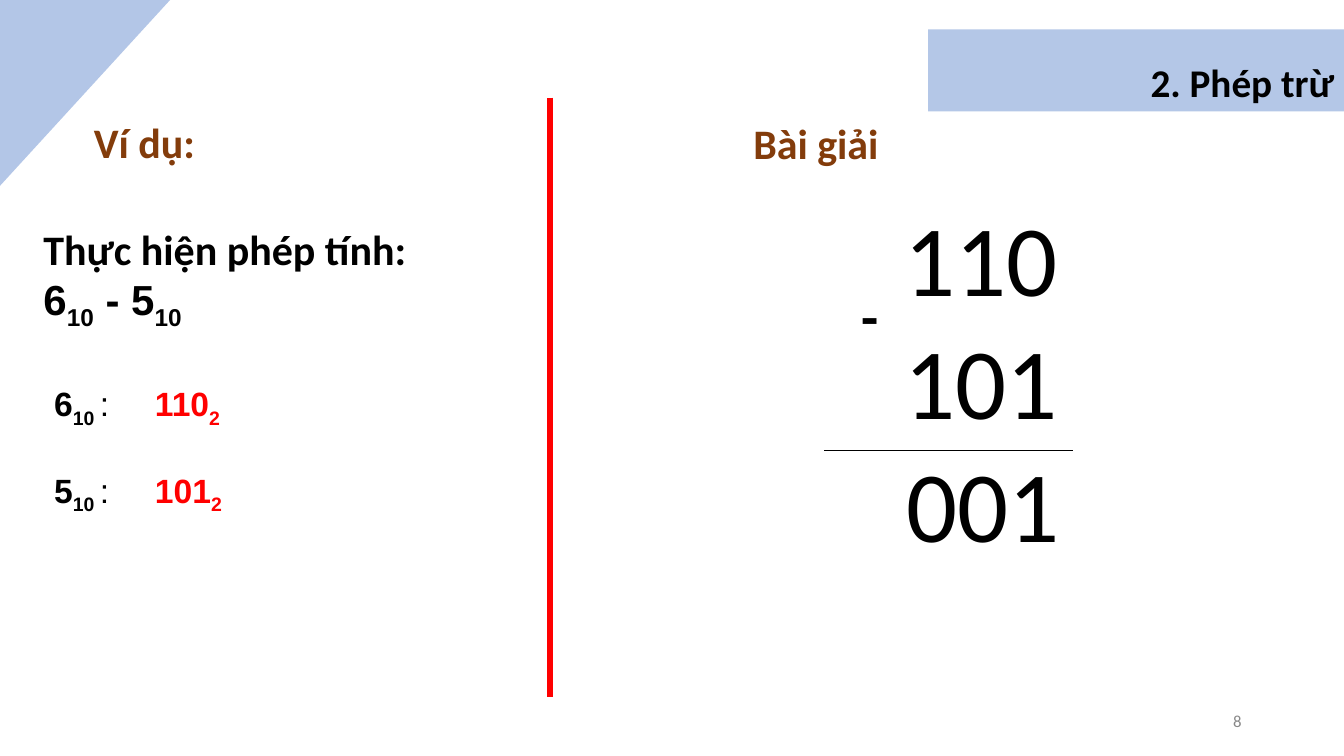
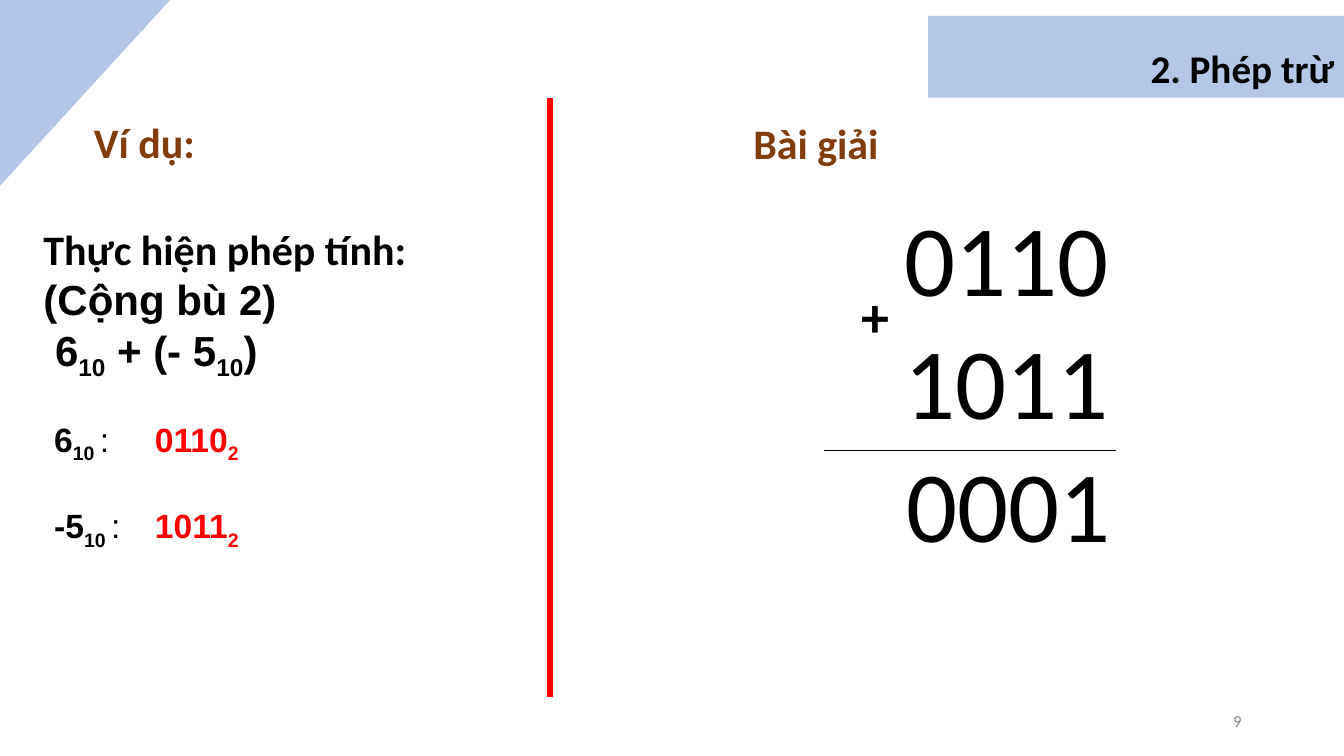
from dataclasses import dataclass

from lxml import etree
from pptx import Presentation
from pptx import util as u
from pptx.dml.color import RGBColor
from pptx.enum import shapes, text
from pptx.oxml.ns import qn

PX = 9525
BLACK, RED, BROWN, GREY = "000000", "FF0000", "833C0B", "888888"
CORNER, BAND = "B3C6E7", "B4C7E7"
TAB = 96


@dataclass(frozen=True)
class Run:
    text: str
    size: int = 30
    font: str = "Calibri"
    color: str = BLACK
    bold: bool = True
    sub: bool = False


@dataclass(frozen=True)
class Para:
    runs: list[Run]
    align: text.PP_ALIGN = text.PP_ALIGN.LEFT
    spacing: float = 1.0
    before: int = 0
    indent: int = 0


@dataclass(frozen=True)
class Box:
    x: int
    y: int
    w: int
    h: int


@dataclass(frozen=True)
class Subtraction:
    number: int
    band_y: int
    prompt: list[Para]
    prompt_h: int
    list_y: int
    conversions: list[tuple[str, str]]
    operator: str
    operands: list[str]
    result: str
    result_w: int
    rule_end: int


def px(n: int) -> u.Emu:
    return u.Emu(n * PX)


def rgb(color: str) -> RGBColor:
    return RGBColor.from_string(color)


def place(sp, box: Box) -> None:
    sp.left, sp.top, sp.width, sp.height = map(px, (box.x, box.y, box.w, box.h))


def write(sp, paras: list[Para], anchor=text.MSO_ANCHOR.TOP) -> None:
    tf = sp.text_frame
    tf.word_wrap = True
    tf.auto_size = text.MSO_AUTO_SIZE.NONE
    tf.vertical_anchor = anchor
    for i, para in enumerate(paras):
        p = tf.paragraphs[0] if i == 0 else tf.add_paragraph()
        p.alignment = para.align
        p.line_spacing = para.spacing
        p.space_before = u.Pt(para.before)
        pPr = p._p.get_or_add_pPr()
        pPr.set("marL", str(px(para.indent)))
        pPr.set("indent", "0")
        etree.SubElement(pPr, qn("a:buNone"))
        tabs = etree.SubElement(pPr, qn("a:tabLst"))
        etree.SubElement(tabs, qn("a:tab"), pos=str(px(TAB)), algn="l")
        for run in para.runs:
            r = p.add_run()
            r.text = run.text
            r.font.size = u.Pt(run.size)
            r.font.name = run.font
            r.font.bold = run.bold
            r.font.color.rgb = rgb(run.color)
            if run.sub:
                r._r.get_or_add_rPr().set("baseline", "-25000")


def add_text(s, box: Box, paras: list[Para], anchor=text.MSO_ANCHOR.TOP) -> None:
    sp = s.shapes.add_textbox(0, 0, 0, 0)
    place(sp, box)
    write(sp, paras, anchor)


def add_line(s, x1: int, y1: int, x2: int, y2: int, color: str, width: float) -> None:
    ln = s.shapes.add_connector(shapes.MSO_CONNECTOR.STRAIGHT, *map(px, (x1, y1, x2, y2)))
    ln.line.color.rgb = rgb(color)
    ln.line.width = u.Pt(width)
    etree.SubElement(ln._element.spPr, qn("a:effectLst"))


def add_corner(s) -> None:
    outline = s.shapes.build_freeform(0, 0, scale=PX)
    outline.add_line_segments([(0, 177), (162, 0)])
    sp = outline.convert_to_shape()
    sp.shadow.inherit = False
    sp.fill.solid()
    sp.fill.fore_color.rgb = rgb(CORNER)
    sp.line.fill.background()


def arial(value: str, sub: bool = False) -> Run:
    return Run(value, font="Arial", sub=sub)


def conversion(decimal: str, binary: str, before: int) -> Para:
    return Para([
        Run(decimal, 24, "Arial"),
        Run("10 ", 24, "Arial", sub=True),
        Run(":\t", 24, "Arial", bold=False),
        Run(binary, 24, "Arial", RED),
        Run("2", 24, "Arial", RED, sub=True),
    ], before=before)


def digits(value: str, before: int = 0, indent: int = 0) -> Para:
    return Para([Run(value, 72, bold=False)], spacing=0.9, before=before, indent=indent)


def add_frame(s, number: int, band_y: int) -> None:
    title = s.shapes.title
    place(title, Box(884, band_y, 396, 78))
    title.fill.solid()
    title.fill.fore_color.rgb = rgb(BAND)
    write(title, [Para([Run("2. Phép trừ", 28)], text.PP_ALIGN.RIGHT, 1.5)])
    add_corner(s)
    add_text(s, Box(904, 667, 288, 38),
             [Para([Run(str(number), 12, color=GREY, bold=False)], text.PP_ALIGN.RIGHT)],
             text.MSO_ANCHOR.MIDDLE)
    add_text(s, Box(80, 106, 393, 59), [Para([Run("Ví dụ:", color=BROWN)])])
    add_text(s, Box(708, 107, 485, 59), [Para([Run("Bài giải", color=BROWN)])])
    add_line(s, 524, 93, 524, 664, RED, 4.5)


def add_subtraction(prs, item: Subtraction) -> None:
    s = prs.slides.add_slide(prs.slide_layouts[1])
    add_frame(s, item.number, item.band_y)
    heading = Para([Run("Thực hiện phép tính:")])
    add_text(s, Box(32, 208, 492, item.prompt_h), [heading, *item.prompt])
    body = s.placeholders[1]
    place(body, Box(42, item.list_y, 471, 126))
    write(body, [conversion(d, b, 29 if i else 0)
                 for i, (d, b) in enumerate(item.conversions)])
    add_text(s, Box(756, 195, 318, 241),
             [digits(v, 10 if i else 0, TAB) for i, v in enumerate(item.operands)])
    add_line(s, 785, 429, item.rule_end, 429, BLACK, 0.75)
    add_text(s, Box(854, 429, item.result_w, 116), [digits(item.result)])
    add_text(s, Box(811, 263, 42, 74), [Para([Run(item.operator, 40)])])


SUBTRACTIONS = [
    Subtraction(
        number=8, band_y=28,
        prompt=[Para([arial("6"), arial("10", True), arial(" - 5"), arial("10", True)])],
        prompt_h=107, list_y=360,
        conversions=[("6", "110"), ("5", "101")],
        operator="-", operands=["110", "101"], result="001",
        result_w=168, rule_end=1022,
    ),
    Subtraction(
        number=9, band_y=15,
        prompt=[
            Para([arial("(Cộng bù 2)")]),
            Para([arial("6"), arial("10", True), arial(" + (- 5"),
                  arial("10", True), arial(")")], indent=11),
        ],
        prompt_h=156, list_y=394,
        conversions=[("6", "0110"), ("-5", "1011")],
        operator="+", operands=["0110", "1011"], result="0001",
        result_w=220, rule_end=1063,
    ),
]


def main() -> None:
    prs = Presentation()
    prs.slide_width, prs.slide_height = px(1280), px(720)
    for item in SUBTRACTIONS:
        add_subtraction(prs, item)
    prs.save("out.pptx")


if __name__ == "__main__":
    main()
